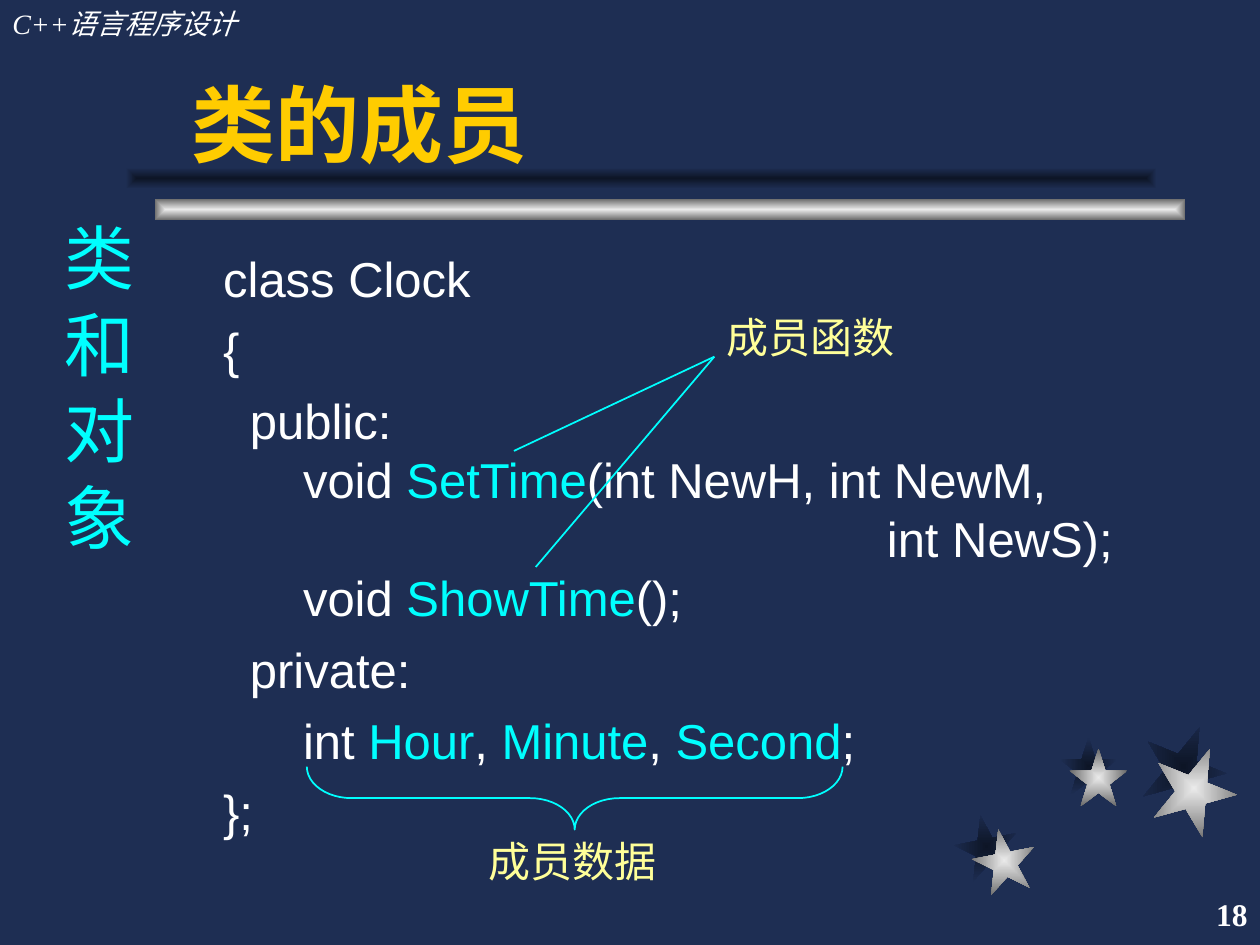
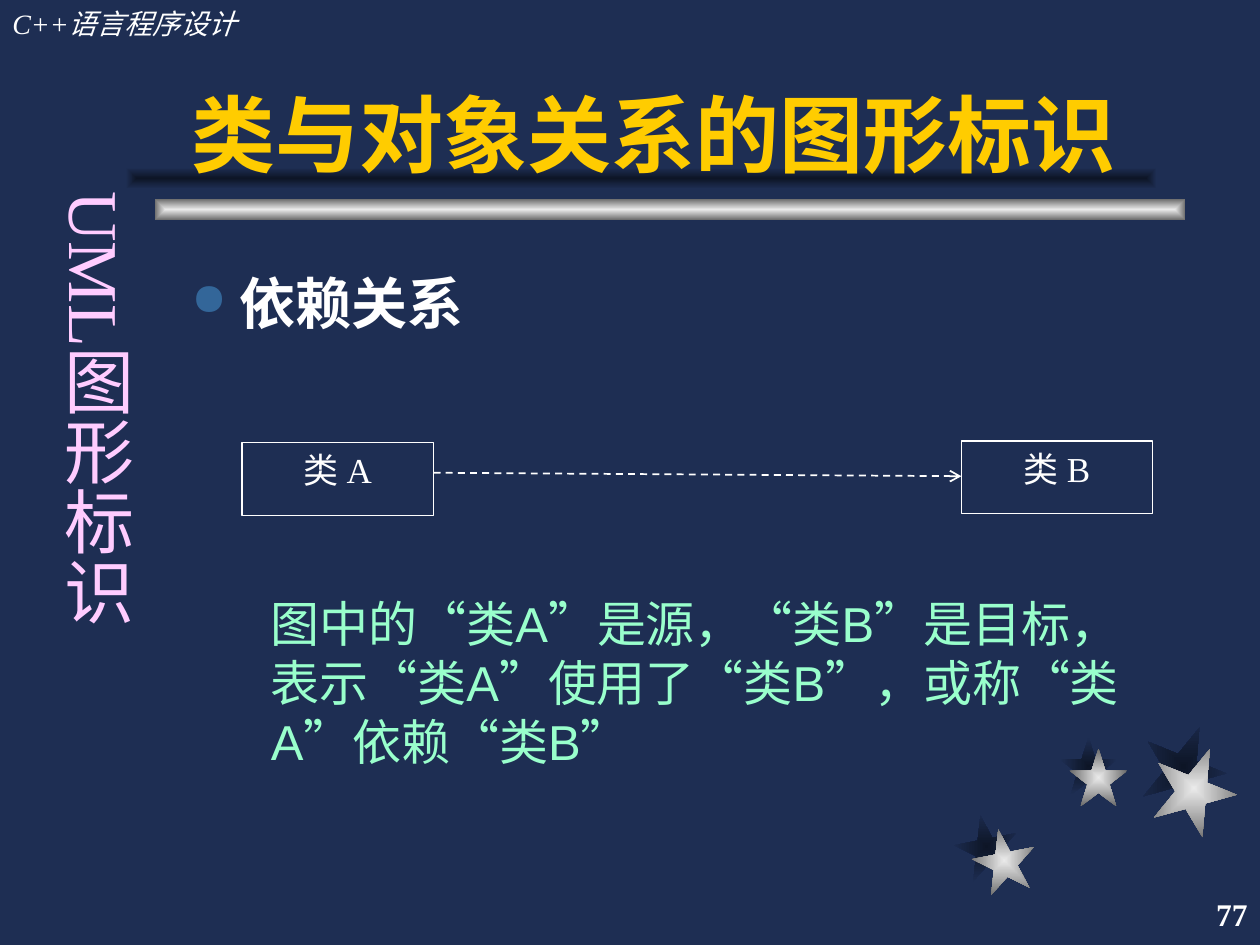
from dataclasses import dataclass

from lxml import etree
from pptx import Presentation
from pptx import util as u
from pptx.dml.color import RGBColor
from pptx.enum import dml, shapes, text
from pptx.oxml.ns import qn


@dataclass(frozen=True)
class Theme:
    navy: str = "1E2E53"
    shade: str = "0D1526"
    silver: str = "EAEAEA"
    grey: str = "6B6B6B"
    white: str = "FFFFFF"
    gold: str = "FFCC00"
    cyan: str = "00FFFF"
    yellow: str = "FFFF99"
    pink: str = "FFCCFF"
    mint: str = "99FFCC"
    bullet: str = "336699"
    sans: str = "Arial"
    serif: str = "Times New Roman"
    title: int = 48
    side: int = 40
    heading: int = 32
    body: int = 28
    label: int = 24
    box: int = 20
    page: int = 18
    header: int = 16
    body_pitch: float = 33.7


T = Theme()
SHADOW = (T.shade, T.navy)
METAL = (T.silver, T.grey)


def cm(*lengths):
    return [u.Cm(v) for v in lengths]


def rgb(code):
    return RGBColor.from_string(code)


def style(p, size, color, font=T.serif, bold=False, italic=False, align=None):
    f = p.font
    f.name, f.size, f.bold, f.italic = font, u.Pt(size), bold, italic
    f.color.rgb = rgb(color)
    p.alignment = align


def text_box(slide, at, words="", size=T.body, color=T.white,
             anchor=text.MSO_ANCHOR.TOP, **look):
    tf = slide.shapes.add_textbox(*cm(*at)).text_frame
    tf.word_wrap = True
    tf.vertical_anchor = anchor
    p = tf.paragraphs[0]
    if words:
        p.add_run().text = words
    style(p, size, color, **look)
    return tf


def side_label(slide, top, words, color):
    """Vertical chapter name along the left edge."""
    tf = text_box(slide, (0.76, top, 2.18, 13.13), words, T.side, color,
                  align=text.PP_ALIGN.CENTER)
    tf.margin_left = tf.margin_right = u.Cm(0.13)
    tf.margin_top = tf.margin_bottom = u.Cm(0.25)
    tf._txBody.bodyPr.set("vert", "eaVert")


def gradient_shape(slide, kind, at, colors, rotation=0):
    """Borderless shape shaded from its centre outwards."""
    sp = slide.shapes.add_shape(kind, *cm(*at))
    sp.shadow.inherit = False
    sp.rotation = rotation
    sp.line.fill.background()
    sp.fill.gradient()
    for stop, color in zip(sp.fill.gradient_stops, colors):
        stop.color.rgb = rgb(color)
    grad = sp._element.spPr.find(qn("a:gradFill"))
    lin = grad.find(qn("a:lin"))
    path = etree.Element(qn("a:path"), {"path": "rect"})
    etree.SubElement(path, qn("a:fillToRect"),
                     {side: "50000" for side in "ltrb"})
    grad.replace(lin, path)


def outline(slide, kind, at, color, width):
    sp = slide.shapes.add_shape(kind, *cm(*at))
    sp.shadow.inherit = False
    sp.fill.background()
    sp.line.color.rgb = rgb(color)
    sp.line.width = u.Pt(width)
    return sp


def connect(slide, start, end, color):
    line = slide.shapes.add_connector(shapes.MSO_CONNECTOR.STRAIGHT,
                                      *cm(*start, *end))
    line.line.color.rgb = rgb(color)
    line.line.width = u.Pt(1)
    etree.SubElement(line._element.spPr, qn("a:effectLst"))
    return line


def dependency_arrow(slide, start, end):
    line = connect(slide, start, end, T.white).line
    line.dash_style = dml.MSO_LINE.DASH
    etree.SubElement(line._get_or_add_ln(), qn("a:tailEnd"), {"type": "arrow"})


def class_box(slide, left, top, name):
    sp = outline(slide, shapes.MSO_SHAPE.RECTANGLE, (left, top, 3.86, 1.47),
                 T.white, 0.75)
    tf = sp.text_frame
    tf.vertical_anchor = text.MSO_ANCHOR.TOP
    p = tf.paragraphs[0]
    p.add_run().text = name
    style(p, T.box, T.white, align=text.PP_ALIGN.CENTER)


def code_block(slide, at, lines):
    """Lines are (indent in cm, space before in pt, pieces); odd pieces are names."""
    tf = text_box(slide, at)
    for i, (indent, before, pieces) in enumerate(lines):
        p = tf.add_paragraph() if i else tf.paragraphs[0]
        style(p, T.body, T.white, font=T.sans)
        p.space_before = u.Pt(before)
        p.line_spacing = u.Pt(T.body_pitch)
        p._p.get_or_add_pPr().set("marL", str(u.Cm(indent)))
        for k, piece in enumerate(pieces):
            r = p.add_run()
            r.text = piece
            r.font.color.rgb = rgb(T.cyan if k % 2 else T.white)


def bullet_heading(slide, at, words):
    tf = text_box(slide, at, words, T.heading, font=T.sans, bold=True)
    pPr = tf.paragraphs[0]._p.get_or_add_pPr()
    hang = u.Cm(0.97)
    pPr.set("marL", str(hang))
    pPr.set("indent", str(-hang))
    marks = [etree.Element(qn("a:buClr")),
             etree.Element(qn("a:buSzPct"), {"val": "80000"}),
             etree.Element(qn("a:buChar"), {"char": "●"})]
    etree.SubElement(marks[0], qn("a:srgbClr"), {"val": T.bullet})
    for i, mark in enumerate(marks):
        pPr.insert(i, mark)


def note(slide, at, words):
    p = text_box(slide, at, words, T.body, T.mint, font=T.sans).paragraphs[0]
    p.line_spacing = u.Pt(T.body_pitch)
    p._p.get_or_add_pPr().set("hangingPunct", "0")


def decorate(slide):
    """Stars, title rule and course name found on every slide."""
    stars = [  # size, rotation, shadow corner, star corner
        (1.27, 349, (19.25, 16.43), (19.61, 16.71)),
        (1.17, 0, (21.36, 14.86), (21.56, 15.09)),
        (1.7, 22, (23.01, 14.61), (23.22, 15.04)),
    ]
    for layer, colors in enumerate((SHADOW, METAL)):
        for size, rotation, *corners in stars:
            gradient_shape(slide, shapes.MSO_SHAPE.STAR_5_POINT,
                           (*corners[layer], size, size), colors, rotation)
    for left, top, colors in ((3.12, 4.01, METAL), (2.54, 3.38, SHADOW)):
        gradient_shape(slide, shapes.MSO_SHAPE.RECTANGLE,
                       (left, top, 20.78, 0.43), colors)
    text_box(slide, (0, 0, 7.82, 0.94), "C++语言程序设计", T.header, italic=True)


def new_slide(prs, title, title_height, number):
    slide = prs.slides.add_slide(prs.slide_layouts[6])
    decorate(slide)
    text_box(slide, (3.61, 0.64, 19.89, title_height), title, T.title, T.gold,
             anchor=text.MSO_ANCHOR.BOTTOM, font=T.sans, bold=True)
    text_box(slide, (20.12, 17.78, 5.28, 1.27), number, T.page, bold=True,
             anchor=text.MSO_ANCHOR.MIDDLE, align=text.PP_ALIGN.RIGHT)
    return slide


def class_members(prs):
    slide = new_slide(prs, "类的成员", 2.97, "18")
    outer, access, member = 0.64, 1.18, 2.25
    code_block(slide, (3.61, 4.88, 20.12, 12.5), [
        (outer, 0, ["class Clock"]),
        (outer, 7, ["{"]),
        (access, 7, ["public:"]),
        (member, 0, ["void ", "SetTime", "(int NewH, int NewM,"]),
        (14.02, 0, ["int NewS);"]),
        (member, 0, ["void ", "ShowTime", "();"]),
        (access, 7, ["private:"]),
        (member, 7, ["int ", "Hour", ", ", "Minute", ", ", "Second", ";"]),
        (outer, 7, ["};"]),
    ])
    side_label(slide, 4.24, "类 和 对 象", T.cyan)
    brace = outline(slide, shapes.MSO_SHAPE.RIGHT_BRACE,
                    (10.95, 10.69, 1.27, 10.8), T.cyan, 1)
    brace.rotation = 90
    brace.adjustments[0] = 0.71
    text_box(slide, (9.32, 16.71, 4.45, 1.27), "成员数据", T.label, T.yellow,
             align=text.PP_ALIGN.CENTER)
    for function_name in ((10.8, 11.43), (10.36, 9.09)):
        connect(slide, function_name, (14.4, 7.19), T.cyan)
    text_box(slide, (14.4, 6.15, 4.45, 1.27), "成员函数", T.label, T.yellow)


def class_relations(prs):
    slide = new_slide(prs, "类与对象关系的图形标识", 3.18, "77")
    bullet_heading(slide, (3.61, 5.28, 20.12, 1.6), "依赖关系")
    class_box(slide, 4.88, 8.92, "类 A")
    dependency_arrow(slide, (8.74, 9.53), (19.38, 9.6))
    class_box(slide, 19.38, 8.89, "类 B")
    note(slide, (5.21, 11.84, 18.16, 3.9),
         "图中的“类A”是源，“类B”是目标，表示“类A”使用了“类B”，或称“类A”依赖“类B”")
    side_label(slide, 3.61, "UML图形标识", T.pink)


def main():
    prs = Presentation()
    prs.slide_width, prs.slide_height = cm(25.4, 19.05)
    fill = prs.slide_master.background.fill
    fill.solid()
    fill.fore_color.rgb = rgb(T.navy)
    class_members(prs)
    class_relations(prs)
    prs.save("out.pptx")


if __name__ == "__main__":
    main()
